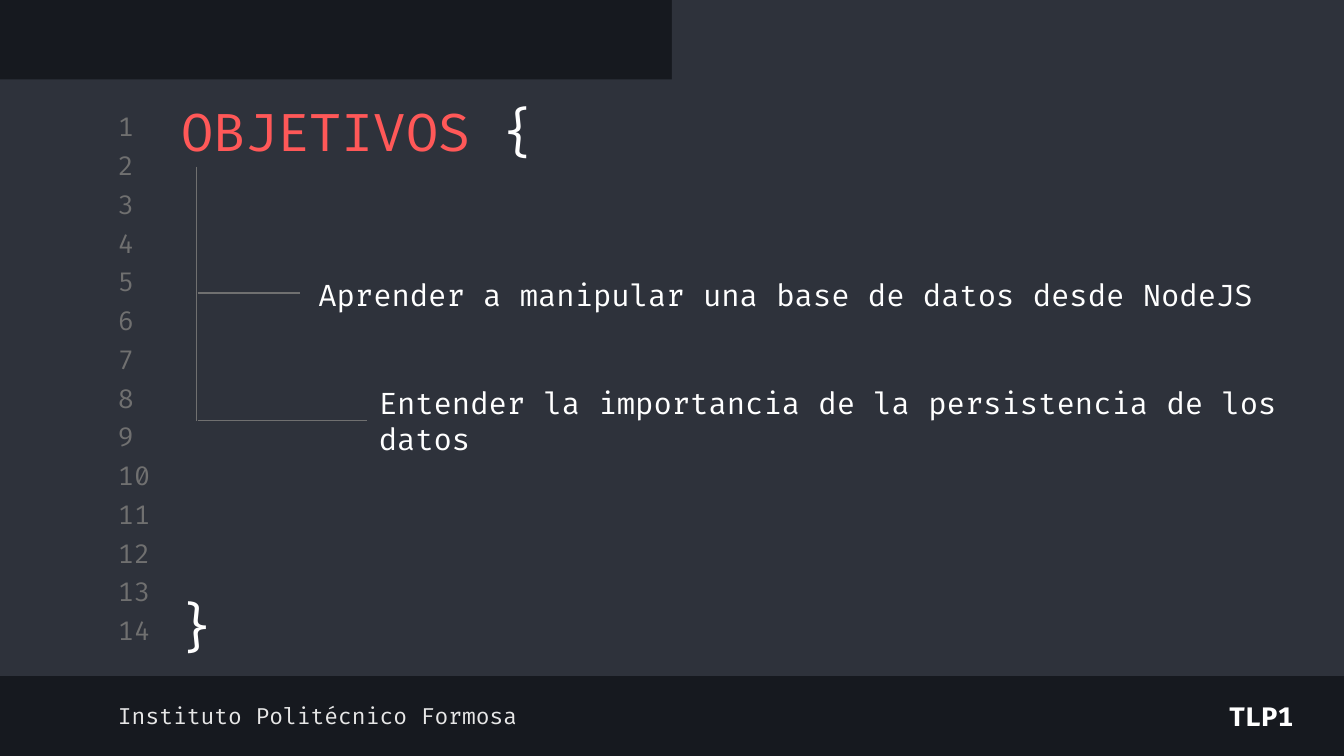
from lxml import etree
from pptx import Presentation
from pptx.dml.color import RGBColor
from pptx.enum.shapes import MSO_CONNECTOR, MSO_SHAPE
from pptx.enum.text import MSO_ANCHOR, PP_ALIGN
from pptx.oxml.ns import qn
from pptx.util import Inches, Pt

RECTANGLE = MSO_SHAPE.RECTANGLE
STRAIGHT = MSO_CONNECTOR.STRAIGHT
TOP, MIDDLE = MSO_ANCHOR.TOP, MSO_ANCHOR.MIDDLE
LEFT, CENTER = PP_ALIGN.LEFT, PP_ALIGN.CENTER

SLIDE_WIDTH = Inches(10)
SLIDE_HEIGHT = SLIDE_WIDTH * 9 // 16
FONT = "Fira Code"
DARK, PANEL, GRAY = "16191F", "2E323B", "707070"
RED, WHITE, LIGHT = "FF5858", "FFFFFF", "E7E7E7"
LINE_COUNT = 14
LINE_STEP = 3.75 / (LINE_COUNT - 1)


def color(hex_string):
    """Return the colour for a hex string."""
    return RGBColor.from_string(hex_string)


def add_panel(slide, left, top, width, height):
    """Add a plain filled rectangle."""
    shape = slide.shapes.add_shape(
        RECTANGLE, Inches(left), Inches(top), Inches(width), Inches(height))
    shape.shadow.inherit = False
    shape.fill.solid()
    shape.fill.fore_color.rgb = color(PANEL)
    shape.line.fill.background()


def add_text(slide, box, runs, size, anchor=MIDDLE, align=LEFT, bold=False):
    """Add a text box holding one paragraph of (text, colour) runs."""
    shape = slide.shapes.add_textbox(*(Inches(length) for length in box))
    frame = shape.text_frame
    frame.word_wrap = True
    frame.vertical_anchor = anchor
    frame.margin_left = frame.margin_right = Inches(0.1)
    frame.margin_top = frame.margin_bottom = Inches(0.1)
    paragraph = frame.paragraphs[0]
    paragraph.alignment = align
    for text, hex_string in runs:
        run = paragraph.add_run()
        run.text = text
        run.font.name = FONT
        run.font.size = Pt(size)
        run.font.bold = bold
        run.font.color.rgb = color(hex_string)


def add_line(slide, start_x, start_y, end_x, end_y):
    """Add a thin gray line without a shadow."""
    connector = slide.shapes.add_connector(
        STRAIGHT, Inches(start_x), Inches(start_y), Inches(end_x), Inches(end_y))
    connector.line.color.rgb = color(GRAY)
    connector.line.width = Pt(0.75)
    etree.SubElement(connector._element.spPr, qn("a:effectLst"))


def add_editor(slide, left, top, width, height):
    """Add the editor panel, its open tab and the line numbers."""
    add_panel(slide, left, top, width, height)
    add_panel(slide, left + width / 2, 0, width / 2, top + 0.06)
    for index in range(LINE_COUNT):
        box = (left + 0.78, top + 0.23 + index * LINE_STEP, 0.47, 0.24)
        add_text(slide, box, [(str(index + 1), GRAY)], 14)


def add_objectives(slide, left, top, width, height):
    """Add the braced title and the tree of objectives."""
    add_text(slide, (left, top, width, 0.59),
             [("OBJETIVOS ", RED), ("{", WHITE)], 28, TOP)
    add_text(slide, (left - 0.06, top + height - 0.67, 0.55, 0.67),
             [("}", WHITE)], 28, TOP, CENTER)
    add_text(slide, (left + 1.02, top + 1.23, 7.72, 0.64),
             [("Aprender a manipular una base de datos desde NodeJS", WHITE)], 16)
    add_text(slide, (left + 1.47, top + 2.17, 7.26, 0.64),
             [("Entender la importancia de la persistencia de los datos", WHITE)], 16)
    trunk = left + 0.21
    add_line(slide, trunk, top + 0.6, trunk, top + 2.49)
    for branch_y, branch_end in ((1.54, 0.98), (2.49, 1.48)):
        add_line(slide, trunk + 0.01, top + branch_y,
                 left + branch_end, top + branch_y)


def add_footer(slide, left, top, width, height):
    """Add the institute name and the course code."""
    add_text(slide, (left, top, 3.4, height),
             [("Instituto Politécnico Formosa", LIGHT)], 12)
    add_text(slide, (left + width - 1.01, top, 1.01, height),
             [("TLP1", WHITE)], 14, align=CENTER, bold=True)


def main():
    """Build and save the slide."""
    presentation = Presentation()
    presentation.slide_width = SLIDE_WIDTH
    presentation.slide_height = SLIDE_HEIGHT
    slide = presentation.slides.add_slide(presentation.slide_layouts[6])
    slide.background.fill.solid()
    slide.background.fill.fore_color.rgb = color(DARK)
    add_editor(slide, 0, 0.59, 10, 4.44)
    add_objectives(slide, 1.25, 0.64, 7.97, 4.35)
    add_footer(slide, 0.78, 5.13, 9.11, 0.39)
    presentation.save("out.pptx")


if __name__ == "__main__":
    main()
